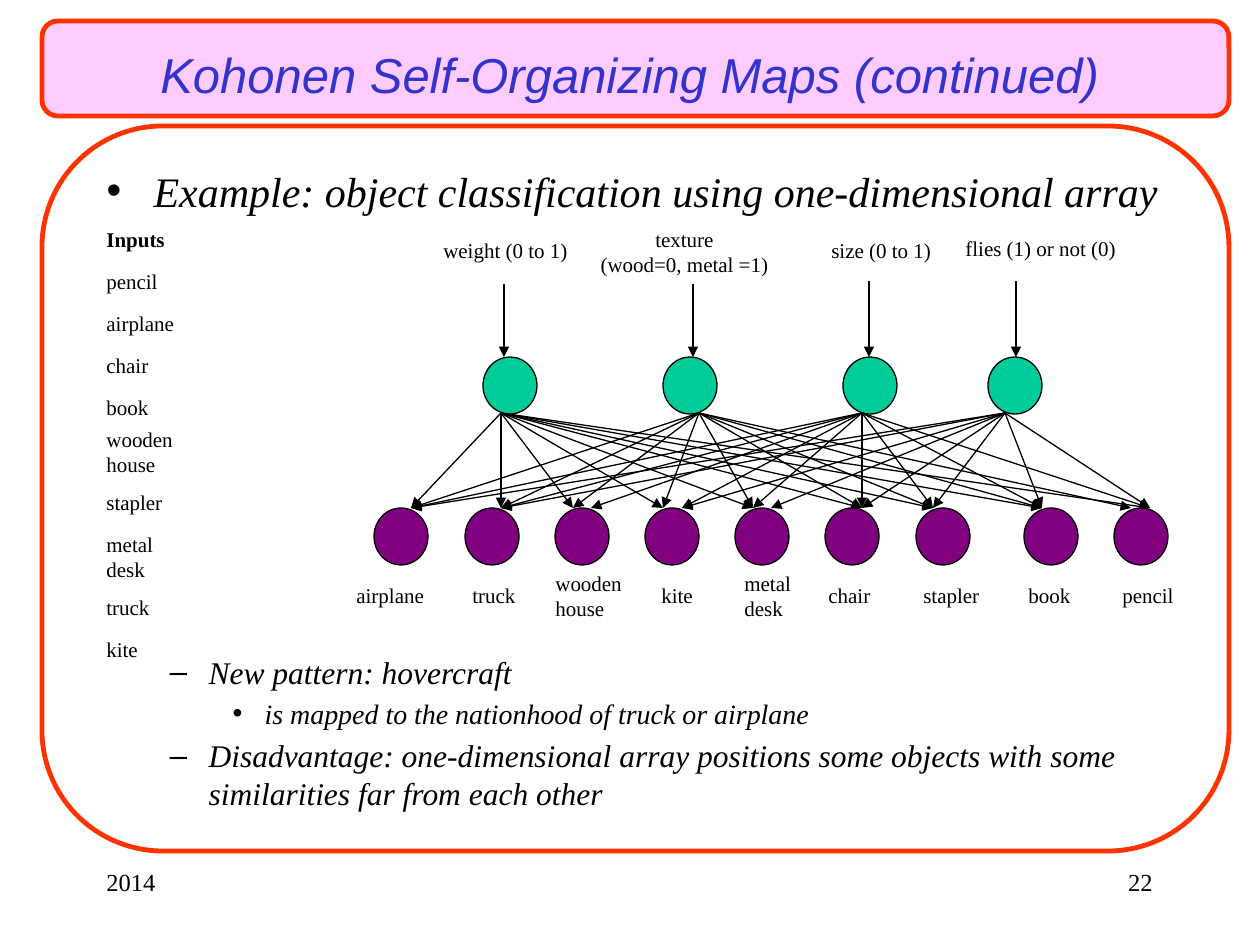
from lxml import etree
from pptx import Presentation
from pptx.dml.color import RGBColor
from pptx.enum.shapes import MSO_CONNECTOR, MSO_SHAPE
from pptx.enum.text import MSO_ANCHOR, MSO_AUTO_SIZE, PP_ALIGN
from pptx.oxml.ns import qn
from pptx.util import Emu, Pt

PX = 914400 // 126
STRAIGHT = MSO_CONNECTOR.STRAIGHT
ROUNDED, OVAL = MSO_SHAPE.ROUNDED_RECTANGLE, MSO_SHAPE.OVAL
MIDDLE = MSO_ANCHOR.MIDDLE
NO_AUTOFIT = MSO_AUTO_SIZE.NONE
LEFT, CENTER, RIGHT = PP_ALIGN.LEFT, PP_ALIGN.CENTER, PP_ALIGN.RIGHT

BLACK = RGBColor(0x00, 0x00, 0x00)
PINK = RGBColor(0xFF, 0xCC, 0xFF)
ORANGE = RGBColor(0xFF, 0x33, 0x00)
BLUE = RGBColor(0x33, 0x33, 0xCC)
GREEN = RGBColor(0x00, 0xCC, 0x99)
PURPLE = RGBColor(0x80, 0x00, 0x80)
SERIF, SANS = "Times New Roman", "Arial"

TITLE = "Kohonen Self-Organizing Maps (continued)"
# text, level, size in points, space before in points
BODY = [
    ("Example: object classification using one-dimensional array", 0, 24, 0),
    ("New pattern: hovercraft", 1, 18, 250),
    ("is mapped to the nationhood of truck or airplane", 2, 16, 3.2),
    ("Disadvantage: one-dimensional array positions some objects with some "
     "similarities far from each other", 1, 18, 3.6),
]
# bullet, left margin px, hanging px
BULLETS = [("•", 47, 47), ("–", 102, 39), ("•", 158, 32)]

# text, top px
OBJECT_LIST = [
    ("Inputs", 220), ("pencil", 262), ("airplane", 304), ("chair", 346),
    ("book", 388), ("wooden house", 420), ("stapler", 483),
    ("metal desk", 525), ("truck", 588), ("kite", 630),
]
# lines, label box px, node left, arrow x, arrow top, fan-out x,
# targets that differ from the usual ones (None: not linked)
INPUTS = [
    (["weight (0 to 1)"], (431, 231, 150, 38), 483, 504, 284, 501, {}),
    (["texture", "(wood=0, metal =1)"], (588, 220, 193, 63), 663, 693, 284, 699,
     {"pencil": 1131}),
    (["size (0 to 1)"], (819, 231, 125, 38), 843, 869, 281, 862,
     {"wooden house": 591, "kite": 682}),
    (["flies (1) or not (0)"], (953, 229, 181, 38), 988, 1016, 281, 1005,
     {"wooden house": None, "kite": 682, "metal desk": 771}),
]
# text, node left, label left, label top, usual arrow target x
OUTPUTS = [
    ("airplane", 374, 344, 576, 411), ("truck", 465, 460, 576, 501),
    ("wooden house", 555, 543, 564, 573), ("kite", 645, 649, 576, 663),
    ("metal desk", 735, 732, 564, 753), ("chair", 825, 816, 576, 862),
    ("stapler", 916, 911, 576, 933), ("book", 1024, 1016, 576, 1042),
    ("pencil", 1114, 1110, 576, 1150),
]
NODE_WIDTH, NODE_HEIGHT = 54, 57
INPUT_TOP, OUTPUT_TOP = 357, 508


def px(*values):
    return [Emu(value * PX) for value in values]


def style(paragraph, size, font_name=SERIF, color=BLACK, bold=False, italic=False):
    font = paragraph.font
    font.size, font.name, font.bold, font.italic = Pt(size), font_name, bold, italic
    font.color.rgb = color


def add_shape(slide, kind, box, fill, line_color, line_width):
    shape = slide.shapes.add_shape(kind, *px(*box))
    shape.shadow.inherit = False
    if fill is None:
        shape.fill.background()
    else:
        shape.fill.solid()
        shape.fill.fore_color.rgb = fill
    shape.line.color.rgb = line_color
    shape.line.width = Pt(line_width)
    return shape


def add_node(slide, left, top, fill):
    add_shape(slide, OVAL, (left, top, NODE_WIDTH, NODE_HEIGHT), fill, BLACK, 0.75)


def add_arrow(slide, start, end):
    connector = slide.shapes.add_connector(STRAIGHT, *px(*start, *end))
    connector.line.color.rgb = BLACK
    connector.line.width = Pt(0.75)
    etree.SubElement(connector.line._get_or_add_ln(), qn("a:tailEnd"), type="triangle")
    etree.SubElement(connector.element.spPr, qn("a:effectLst"))


def add_label(slide, lines, box, size=12, align=LEFT, wrap=True, bold=False):
    frame = slide.shapes.add_textbox(*px(*box)).text_frame
    frame.word_wrap = wrap
    frame.text = "\n".join(lines)
    for paragraph in frame.paragraphs:
        paragraph.alignment = align
        style(paragraph, size, bold=bold)


def place(placeholder, box):
    placeholder.left, placeholder.top, placeholder.width, placeholder.height = px(*box)
    placeholder.text_frame.auto_size = NO_AUTOFIT
    return placeholder.text_frame


def fill_title(title):
    frame = place(title, (94, 0, 1071, 147))
    frame.vertical_anchor = MIDDLE
    frame.text = TITLE
    frame.paragraphs[0].alignment = CENTER
    style(frame.paragraphs[0], 28, SANS, BLUE, italic=True)


def fill_body(body):
    frame = place(body, (94, 159, 1081, 567))
    frame.text = "\n".join(row[0] for row in BODY)
    for paragraph, (_, level, size, space) in zip(frame.paragraphs, BODY):
        bullet, margin, hanging = BULLETS[level]
        paragraph.level = level
        properties = paragraph._p.get_or_add_pPr()
        properties.set("marL", str(margin * PX))
        properties.set("indent", str(-hanging * PX))
        etree.SubElement(properties, qn("a:buChar"), char=bullet)
        paragraph.space_before = Pt(space)
        style(paragraph, size, italic=True)


def draw_network(slide):
    for lines, box, left, arrow_x, arrow_top, fan_x, changed in INPUTS:
        add_node(slide, left, INPUT_TOP, GREEN)
        add_label(slide, lines, box, align=CENTER if len(lines) > 1 else LEFT, wrap=False)
        add_arrow(slide, (arrow_x, arrow_top), (arrow_x, INPUT_TOP))
        for name, *_, usual_x in OUTPUTS:
            target_x = changed.get(name, usual_x)
            if target_x is not None:
                add_arrow(slide, (fan_x, INPUT_TOP + NODE_HEIGHT - 1), (target_x, OUTPUT_TOP))
    for name, left, label_left, label_top, _ in OUTPUTS:
        add_node(slide, left, OUTPUT_TOP, PURPLE)
        add_label(slide, [name], (label_left, label_top, 105, 38))


def main():
    presentation = Presentation()
    presentation.slide_width, presentation.slide_height = px(1260, 945)
    slide = presentation.slides.add_slide(presentation.slide_layouts[1])
    title, body = slide.placeholders
    for box, fill in [((42, 21, 1187, 95), PINK), ((42, 126, 1187, 725), None)]:
        panel = add_shape(slide, ROUNDED, box, fill, ORANGE, 2.75)
        title.element.addprevious(panel.element)  # panels lie behind the text
    fill_title(title)
    fill_body(body)
    draw_network(slide)
    for text, top in OBJECT_LIST:
        add_label(slide, [text], (94, top, 105, 38), bold=text == "Inputs")
    add_label(slide, ["2014"], (94, 861, 262, 63), size=14)
    add_label(slide, ["22"], (903, 861, 262, 63), size=14, align=RIGHT)
    presentation.save("out.pptx")


if __name__ == "__main__":
    main()
